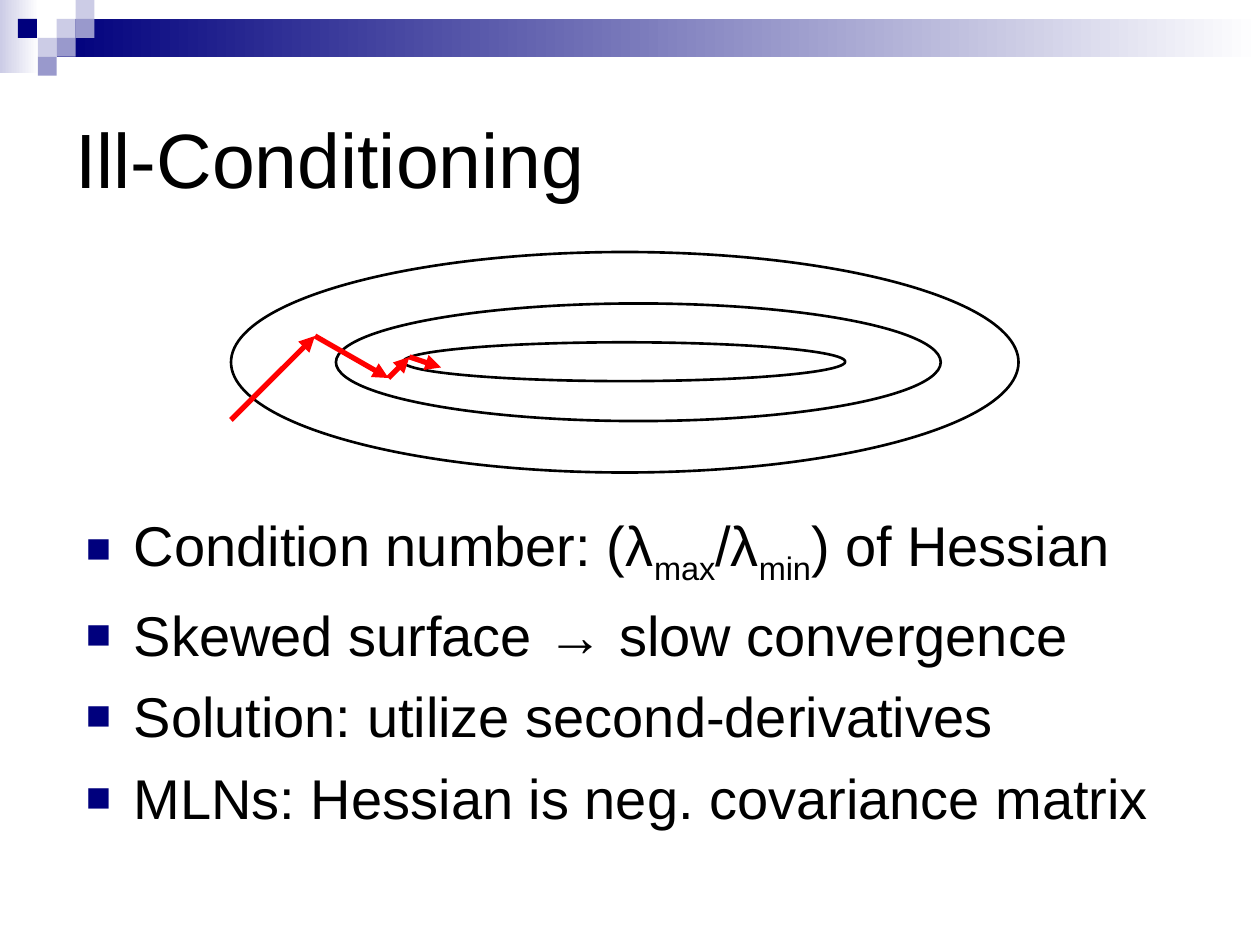
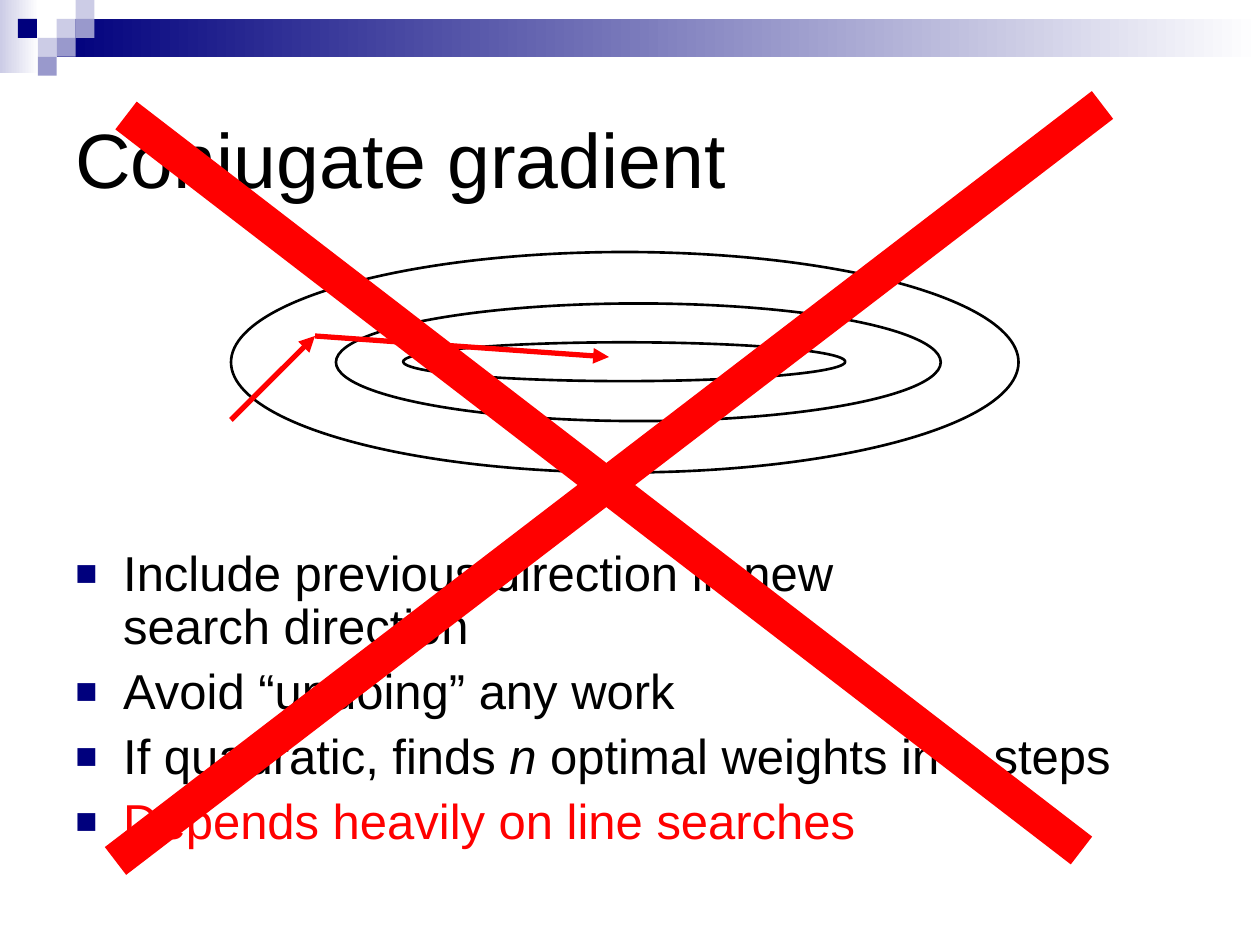
from dataclasses import dataclass
from itertools import pairwise

from lxml.etree import SubElement
from pptx import Presentation
from pptx.dml.color import RGBColor as RGB
from pptx.enum.shapes import MSO_CONNECTOR as Line, MSO_SHAPE as Shape
from pptx.enum.text import MSO_ANCHOR as Anchor
from pptx.oxml.ns import qn
from pptx.util import Inches, Pt


@dataclass(frozen=True)
class Theme:
    font: str = "Arial"
    ink: str = "000000"
    navy: str = "00007D"
    lilac: str = "9999CC"
    pale: str = "CCCCE6"
    white: str = "FFFFFF"
    red: str = "FF0000"
    title_pt: int = 44
    body_pt: int = 32
    compact_pt: int = 28
    contour_pt: float = 1.5
    step_pt: int = 3
    cross_pt: int = 20
    bullet_pct: int = 75


COLS, ROWS = 120, 90
TILE = 1.8  # side of a header square, in grid cells
INDENT = Inches(0.38)


class Deck:
    """Holds the theme and the current slide; lengths are grid columns and rows."""

    def __init__(self, theme):
        self.theme = theme
        self.prs = Presentation()
        self.prs.slide_width, self.prs.slide_height = Inches(10), Inches(7.5)
        self.s = None

    def grid(self, x, y):
        return (round(x * self.prs.slide_width / COLS),
                round(y * self.prs.slide_height / ROWS))

    def new_slide(self, title):
        self.s = self.prs.slides.add_slide(self.prs.slide_layouts[6])
        self.header()
        self.title(title)

    def shape(self, kind, x, y, w, h):
        sp = self.s.shapes.add_shape(kind, *self.grid(x, y), *self.grid(w, h))
        sp.shadow.inherit = False
        return sp

    def block(self, x, y, w, h, color, fade_to=None):
        sp = self.shape(Shape.RECTANGLE, x, y, w, h)
        sp.line.fill.background()
        if fade_to:
            sp.fill.gradient()
            sp.fill.gradient_angle = 0
            for stop, tint in zip(sp.fill.gradient_stops, (color, fade_to)):
                stop.color.rgb = RGB.from_string(tint)
        else:
            sp.fill.solid()
            sp.fill.fore_color.rgb = RGB.from_string(color)

    def header(self):
        t = self.theme
        self.block(0, 0, 3.7, 7, t.pale, fade_to=t.white)
        self.block(3 * TILE, TILE, COLS - 3 * TILE, 2 * TILE, t.navy, fade_to=t.white)
        # Mosaic squares: column, row, colour
        for col, row, color in ((3, 1, t.pale), (4, 0, t.pale), (4, 1, t.lilac),
                                (2, 2, t.pale), (0.95, 1, t.navy),
                                (3, 2, t.lilac), (2, 3, t.lilac)):
            self.block(col * TILE, row * TILE, TILE, TILE, color)

    def text_frame(self, x, y, w, h):
        sp = self.s.shapes.add_textbox(*self.grid(x, y), *self.grid(w, h))
        sp.text_frame.word_wrap = True
        return sp.text_frame

    def style(self, r, size, color):
        r.font.name = self.theme.font
        r.font.size = Pt(size)
        r.font.color.rgb = RGB.from_string(color)

    def title(self, text):
        tf = self.text_frame(6, 6, 108, 18)
        tf.vertical_anchor = Anchor.MIDDLE
        tf.text = text
        self.style(tf.paragraphs[0].runs[0], self.theme.title_pt, self.theme.ink)

    def bullet(self, p):
        pPr = p._p.get_or_add_pPr()
        pPr.set("marL", str(INDENT))
        pPr.set("indent", str(-INDENT))
        color = SubElement(pPr, qn("a:buClr"))
        SubElement(color, qn("a:srgbClr"), val=self.theme.navy)
        SubElement(pPr, qn("a:buSzPct"), val=str(self.theme.bullet_pct * 1000))
        SubElement(pPr, qn("a:buFont"), typeface=self.theme.font)
        SubElement(pPr, qn("a:buChar"), char="■")

    def bullets(self, box, items, size, spacing=1.0, accent=None, warn_last=False):
        """Text between bars in an item gets the accent function."""
        tf = self.text_frame(*box)
        for i, item in enumerate(items):
            p = tf.add_paragraph() if i else tf.paragraphs[0]
            self.bullet(p)
            p.line_spacing = spacing
            p.space_before = Pt(size / 4 if i else 0)
            first, *rest = item.split("|")
            p.text = first
            for k, piece in enumerate(rest):
                r = p.add_run()
                r.text = piece
                if k % 2 == 0:
                    accent(r)
            last = warn_last and i == len(items) - 1
            for r in p.runs:
                self.style(r, size, self.theme.red if last else self.theme.ink)

    def contours(self):
        for box in ((22, 24, 75, 21), (32, 28.9, 57.6, 11.2), (38.4, 32.6, 42.1, 3.7)):
            sp = self.shape(Shape.OVAL, *box)
            sp.fill.background()
            sp.line.color.rgb = RGB.from_string(self.theme.ink)
            sp.line.width = Pt(self.theme.contour_pt)

    def line(self, start, end, width, arrow=False):
        cn = self.s.shapes.add_connector(Line.STRAIGHT, *self.grid(*start), *self.grid(*end))
        cn.line.color.rgb = RGB.from_string(self.theme.red)
        cn.line.width = Pt(width)
        spPr = cn._element.spPr
        if arrow:
            SubElement(spPr.find(qn("a:ln")), qn("a:tailEnd"), type="triangle")
        SubElement(spPr, qn("a:effectLst"))

    def descent(self, *points):
        for start, end in pairwise(points):
            self.line(start, end, self.theme.step_pt, arrow=True)

    def cross_out(self):
        self.line((11, 82), (105, 10), self.theme.cross_pt)
        self.line((103, 81), (12, 11), self.theme.cross_pt)


def subscript(r):
    r.font._element.set("baseline", "-25000")


def italic(r):
    r.font.italic = True


def main():
    theme = Theme()
    deck = Deck(theme)

    # Slide 1: zigzag descent on a skewed surface
    deck.new_slide("Ill-Conditioning")
    deck.bullets((7, 48, 107, 37), [
        "Condition number: (λ|max|/λ|min|) of Hessian",
        "Skewed surface → slow convergence",
        "Solution: utilize second-derivatives",
        "MLNs: Hessian is neg. covariance matrix",
    ], theme.body_pt, accent=subscript)
    deck.contours()
    deck.descent((22, 40), (30, 32), (37, 36), (39, 34), (42, 35))

    # Slide 2: direct descent, crossed out
    deck.new_slide("Conjugate gradient")
    deck.bullets((6, 51.7, 108, 30.2), [
        "Include previous direction in new\vsearch direction",
        "Avoid “undoing” any work",
        "If quadratic, finds |n| optimal weights in |n| steps",
        "Depends heavily on line searches",
    ], theme.compact_pt, spacing=0.9, accent=italic, warn_last=True)
    deck.contours()
    deck.descent((22, 40), (30, 32), (58, 34))
    deck.cross_out()

    deck.prs.save("out.pptx")


if __name__ == "__main__":
    main()
